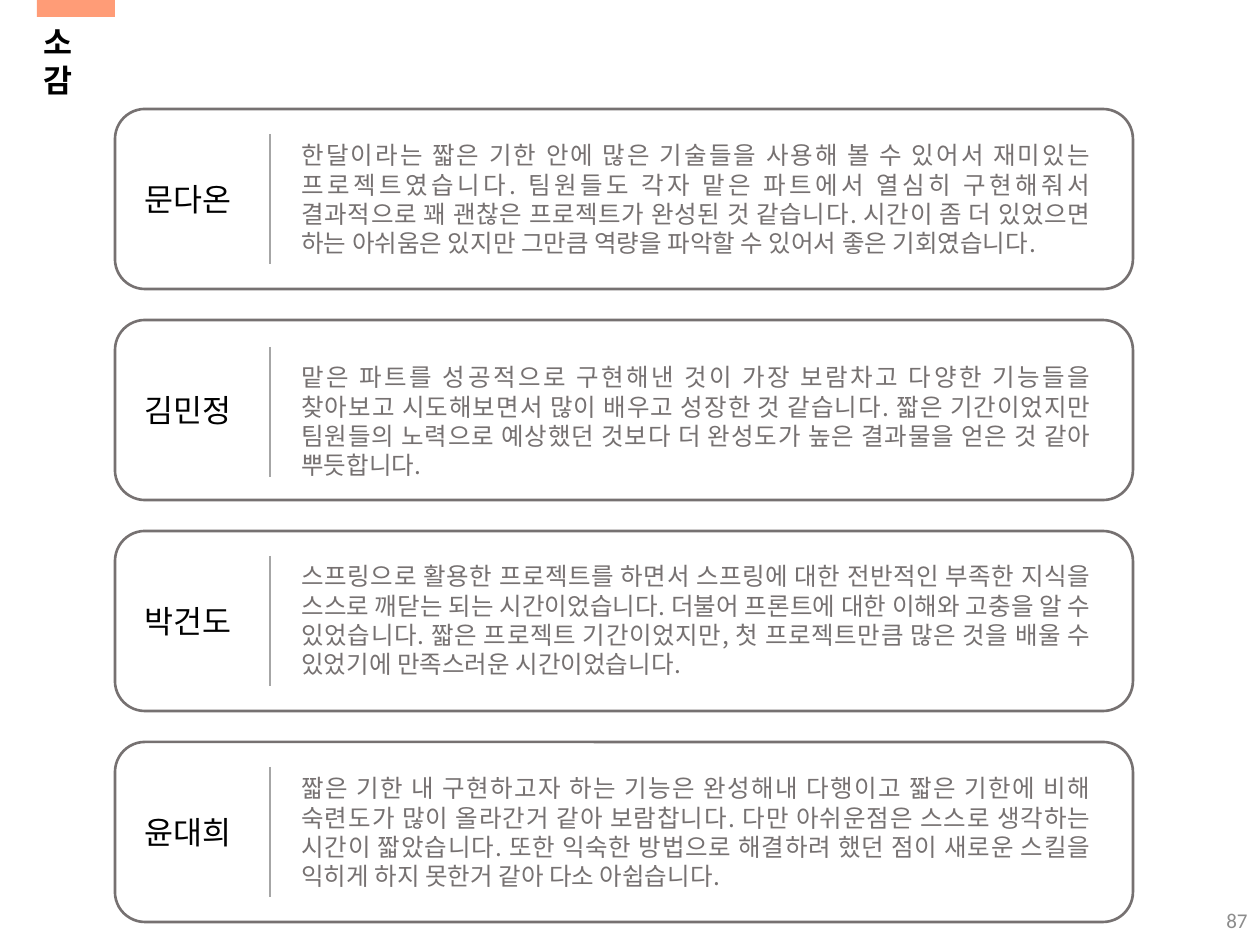
"""Build the slide of four team members' closing thoughts."""
from lxml.etree import SubElement
from pptx import Presentation
from pptx.dml.color import RGBColor
from pptx.enum.shapes import MSO_CONNECTOR as Line, MSO_SHAPE as Form
from pptx.enum.text import MSO_ANCHOR as Anchor, PP_ALIGN as Align
from pptx.oxml.ns import qn
from pptx.util import Emu, Pt

PX = 914400 // 126
SANS = "Noto Sans CJK KR"
GREY = "767171"


def color(code):
    return RGBColor.from_string(code)


def write(box, text, size, face, code, wrap=True, align=Align.LEFT, bold=False):
    area = slide.shapes.add_textbox(*[Emu(n * PX) for n in box])
    frame = area.text_frame
    frame.word_wrap = wrap
    para = frame.paragraphs[0]
    para.text = text
    para.alignment = align
    font = para.font
    font.size, font.name, font.bold = Pt(size), face, bold
    font.color.rgb = color(code)
    return frame


deck = Presentation()
deck.slide_width, deck.slide_height = Emu(1260 * PX), Emu(945 * PX)
slide = deck.slides.add_slide(deck.slide_layouts[6])

tab = slide.shapes.add_shape(Form.RECTANGLE, Emu(37 * PX), 0, Emu(78 * PX), Emu(17 * PX))
tab.shadow.inherit = False
tab.fill.solid()
tab.fill.fore_color.rgb = color("FF9C77")
tab.line.fill.background()
write((31, 17, 81, 51), "소감", 18, SANS, "000000", bold=True)

notes = [
    ("문다온", 134, 134, "한달이라는 짧은 기한 안에 많은 기술들을 사용해 볼 수 있어서 재미있는 프로젝트였습니다. 팀원들도 각자 맡은 파트에서 열심히 구현해줘서 결과적으로 꽤 괜찮은 프로젝트가 완성된 것 같습니다. 시간이 좀 더 있었으면 하는 아쉬움은 있지만 그만큼 역량을 파악할 수 있어서 좋은 기회였습니다."),
    ("김민정", 347, 356, "맡은 파트를 성공적으로 구현해낸 것이 가장 보람차고 다양한 기능들을 찾아보고 시도해보면서 많이 배우고 성장한 것 같습니다. 짧은 기간이었지만 팀원들의 노력으로 예상했던 것보다 더 완성도가 높은 결과물을 얻은 것 같아 뿌듯합니다."),
    ("박건도", 556, 555, "스프링으로 활용한 프로젝트를 하면서 스프링에 대한 전반적인 부족한 지식을 스스로 깨닫는 되는 시간이었습니다. 더불어 프론트에 대한 이해와 고충을 알 수 있었습니다. 짧은 프로젝트 기간이었지만, 첫 프로젝트만큼 많은 것을 배울 수 있었기에 만족스러운 시간이었습니다."),
    ("윤대희", 767, 767, "짧은 기한 내 구현하고자 하는 기능은 완성해내 다행이고 짧은 기한에 비해 숙련도가 많이 올라간거 같아 보람찹니다. 다만 아쉬운점은 스스로 생각하는 시간이 짧았습니다. 또한 익숙한 방법으로 해결하려 했던 점이 새로운 스킬을 익히게 하지 못한거 같아 다소 아쉽습니다."),
]
for row, (name, rule, top, text) in enumerate(notes):
    y = 109 + 211 * row
    card = slide.shapes.add_shape(
        Form.ROUNDED_RECTANGLE, *[Emu(n * PX) for n in (115, y, 1018, 180)])
    card.shadow.inherit = False
    card.fill.background()
    card.line.color.rgb = color(GREY)
    card.line.width = Pt(1.5)
    write((132, y + 65, 121, 50), name, 18, "Calibri", "000000", wrap=False)
    bar = slide.shapes.add_connector(
        Line.STRAIGHT, *[Emu(n * PX) for n in (270, rule, 270, rule + 130)])
    bar.line.color.rgb = color("A6A6A6")
    bar.line.width = Pt(1.5)
    SubElement(bar.element.spPr, qn("a:effectLst"))
    write((289, top, 814, 131), text, 14, SANS, GREY, align=Align.JUSTIFY)

page = write((977, 895, 283, 50), "87", 12, "Calibri", "8C8C8C", align=Align.RIGHT)
page.vertical_anchor = Anchor.MIDDLE

deck.save("out.pptx")
